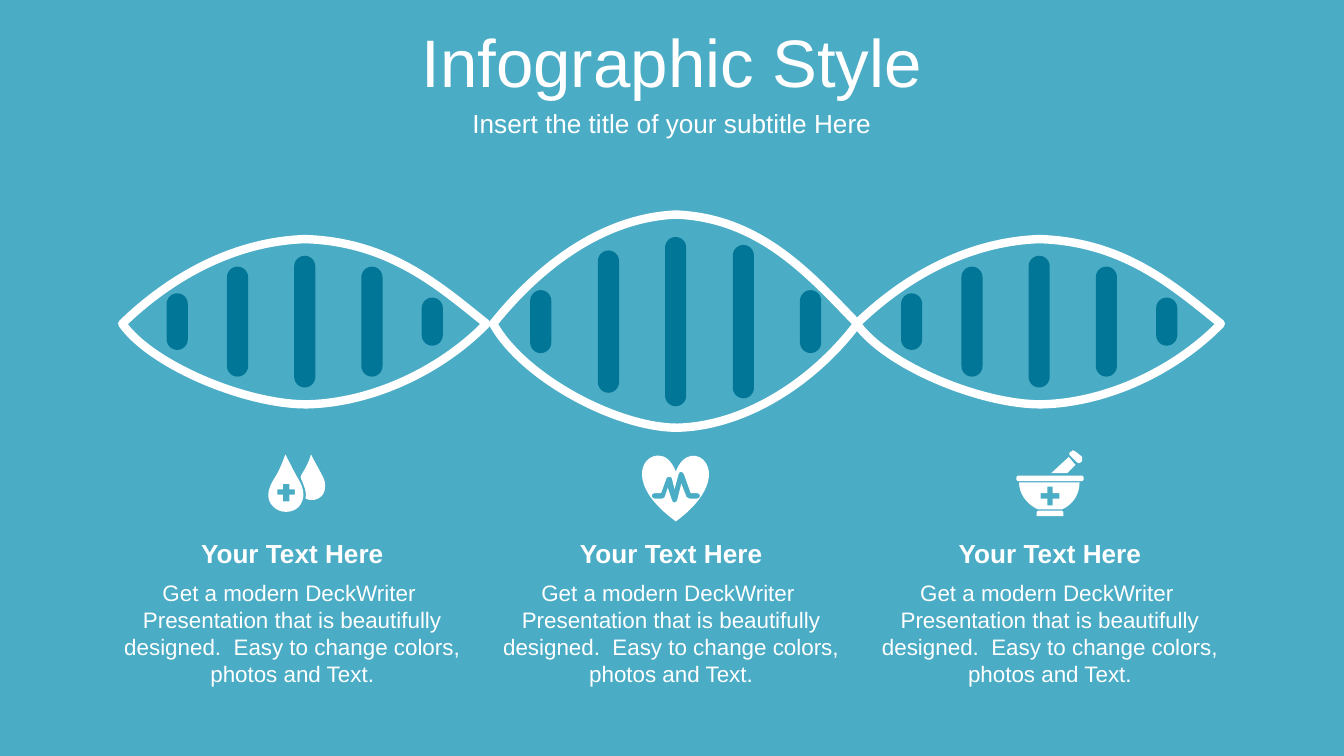
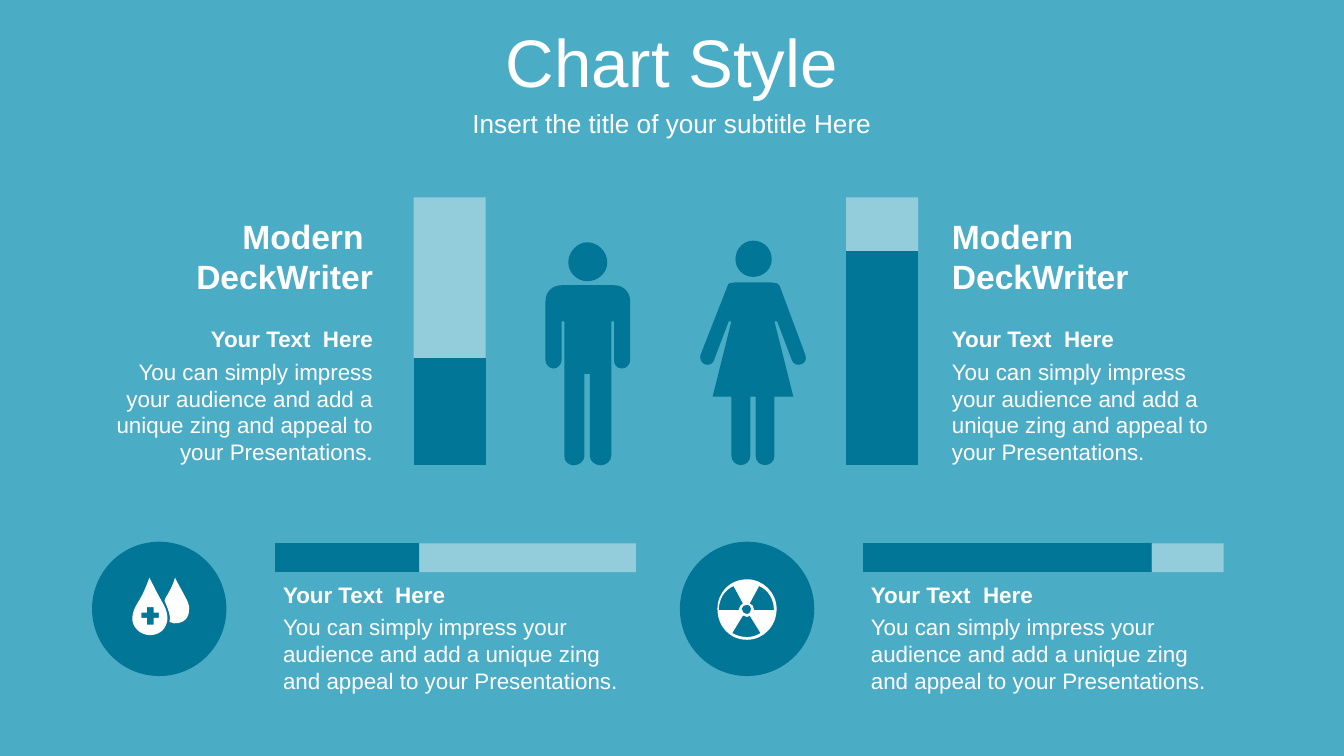
from lxml import etree
from pptx import Presentation
from pptx import util as u
from pptx.chart.data import CategoryChartData
from pptx.dml.color import RGBColor
from pptx.enum import chart as charts, shapes, text
from pptx.oxml.ns import qn

COLORS = {"back": "4BACC6", "dark": "027696", "white": "FFFFFF", "black": "000000"}
FONT = "Arial"
Cm = u.Cm
GRID = Cm(2.54) / 100  # one unit of the outlines below

# Outlines: M starts a contour, L lists corners, C lists cubic curves
LENS = "M 0,63 C 32,32 79,2 136,0 199,2 236,35 271,63 239,96 188,122 137,123 92,123 22,94 0,63"
DROPS = """
    M 19,22 L 14,22 14,26 10,26 10,30 14,30 14,35 19,35 19,30 23,30 23,26 19,26
    M 35,0 C 38,6 41,11 43,15 46,20 47,26 43,31 40,34 35,35 31,33 32,28 30,24 28,19
    27,18 27,16 28,15 31,10 33,7 35,0
    M 16,0 C 20,8 23,14 26,19 30,26 31,33 26,39 21,44 12,44 7,39 1,33 3,26 7,19
    11,13 13,8 16,0"""
HEART = """
    M 29,12 C 28,12 27,13 27,14 L 24,25 22,17 C 22,16 21,16 20,16 19,16 18,16 18,17
    L 14,28 9,28 C 8,28 7,29 7,30 7,31 8,32 9,32 L 15,32 C 16,32 17,31 17,30
    L 19,24 22,33 C 22,34 23,35 24,35 25,35 26,34 26,33 L 29,21 33,31
    C 34,32 34,32 35,32 L 41,32 C 42,32 43,31 43,30 43,29 42,28 41,28
    L 36,28 31,14 C 30,13 30,12 29,12
    M 12,0 C 17,0 22,4 25,12 27.5,4.8 31.9,1.1 36.3,0.3 40.6,-0.4 45,1.6 47.5,5.8
    50,9.9 50.6,16.1 47.5,23.5 44.4,31 37.5,39.8 25,49
    6.5,35.5 0,23.3 -0.2,14.4 -0.5,5.5 5.5,0 12,0"""
MORTAR = """
    M 16,45 L 34,45 35,46 35,49 15,49 15,46
    M 23,27 L 23,32 18,32 18,36 23,36 23,41 27,41 27,36 32,36 32,32 27,32 27,27
    M 2,24 L 47,24 C 47,32 43,39 36,43 L 34,44 16,44 14,43 C 7,39 2,32 2,24
    M 1,19 L 49,19 50,20 50,22 49,23 1,23 0,22 0,20
    M 39,5 L 44,11 38,17 26,17
    M 42,0 C 43,0 43,0 44,1 L 49,5 C 49,6 49,8 49,8 L 48,9 C 47,10 46,10 45,9
    L 40,4 C 39,4 39,2 40,1 L 41,1 C 41,0 42,0 42,0"""
RADIATION = """
    M 19,27 L 11,40 C 18,44 26,44 32,40 L 24,27 C 24,27 23,28 22,28 21,28 20,27 19,27
    M 22,19 C 20,19 18,20 18,22 18,24 20,26 22,26 24,26 25,24 25,22 25,20 24,19 22,19
    M 31,5 L 24,18 C 26,19 27,20 27,22 L 27,23 42,23 C 42,15 38,8 31,5
    M 12,5 C 5,8 1,15 1,23 L 16,23 16,22 C 16,20 18,19 19,18
    M 22,0 C 34,0 44,10 44,22 44,35 34,45 22,45 9,45 0,35 0,22 0,10 9,0 22,0"""
MAN = """
    M 12,32 L 51,32 C 58,32 63,37 63,44 L 63,88 C 63,91 60,94 57,94 53,94 51,91 51,88
    L 51,59 49,59 49,159 C 49,163 45,166 41,166 37,166 33,163 33,159 L 33,98 29,98 29,159
    C 29,163 25,166 21,166 17,166 14,163 14,159 L 14,59 12,59 12,88
    C 12,91 9,94 6,94 3,94 0,91 0,88 L 0,44 C 0,37 5,32 12,32
    M 31,0 C 39,0 46,7 46,15 46,23 39,29 31,29 24,29 17,23 17,15 17,7 24,0 31,0"""
WOMAN = """
    M 26,31 L 52,31 C 57,32 57,31 59,34 L 78,85 C 79,88 78,91 75,92 72,93 69,92 68,89
    L 57,60 55,60 69,116 55,116 55,160 C 55,164 52,167 48,167 44,167 41,164 41,160
    L 41,116 37,116 37,160 C 37,164 34,167 30,167 26,167 23,164 23,160
    L 23,116 9,116 23,60 21,60 10,89 C 9,92 6,93 3,92 1,91 -1,88 0,85
    L 20,34 C 21,31 21,32 26,31
    M 39,0 C 47,0 53,6 53,14 53,21 47,27 39,27 32,27 26,21 26,14 26,6 32,0 39,0"""

SUBTITLE = "Insert the title of your subtitle Here"
MODERN = "Modern  DeckWriter"
LABEL = "Your Text  Here"
IMPRESS = ("You can simply impress your audience and add a unique zing "
           "and appeal to your Presentations.")
FEATURE = ("Get a modern DeckWriter  Presentation that is beautifully designed.  "
           "Easy to change colors, photos and Text.")


def rgb(name):
    return RGBColor.from_string(COLORS[name])


def add_text(page, words, left, top, width, height, size=12, bold=False,
             align=text.PP_ALIGN.LEFT, anchor=text.MSO_ANCHOR.TOP):
    box = page.shapes.add_textbox(Cm(left), Cm(top), Cm(width), Cm(height))
    frame = box.text_frame
    frame.word_wrap = True
    frame.vertical_anchor = anchor
    para = frame.paragraphs[0]
    para.alignment = align
    span = para.add_run()
    span.text = words
    span.font.name = FONT
    span.font.size = u.Pt(size)
    span.font.bold = bold
    span.font.color.rgb = rgb("white")


def new_page(deck, title):
    page = deck.slides.add_slide(deck.slide_layouts[6])
    page.background.fill.solid()
    page.background.fill.fore_color.rgb = rgb("back")
    centred = {"align": text.PP_ALIGN.CENTER, "anchor": text.MSO_ANCHOR.MIDDLE}
    add_text(page, title, 0, 0.34, 25.4, 1.6, size=36, **centred)
    add_text(page, SUBTITLE, 0, 1.94, 25.4, 0.79, size=14, **centred)
    return page


def paint(shape, fill=None, line=None):
    """Fill or outline a shape, without shadow."""
    shape.shadow.inherit = False
    if fill:
        shape.fill.solid()
        shape.fill.fore_color.rgb = rgb(fill)
    else:
        shape.fill.background()
    if line:
        shape.line.color.rgb = rgb(line)
        shape.line.width = u.Pt(4.5)
    else:
        shape.line.fill.background()


def add_preset(page, kind, left, top, width, height):
    shape = page.shapes.add_shape(kind, Cm(left), Cm(top), Cm(width), Cm(height))
    paint(shape, fill="dark")
    return shape


def read_contour(contour, stretch):
    """Return the points and, after the start, the point count of each segment."""
    points, counts, needed, pending = [], [], 1, 0
    for word in contour.split():
        if word in "LC":
            needed = 3 if word == "C" else 1
            continue
        x, y = (float(number) for number in word.split(","))
        points.append((x * GRID, y * GRID * stretch))
        pending += 1
        if pending == needed:
            counts.append(needed)
            pending = 0
    return points, counts[1:]


def bend(shape, counts):
    """Join each three line ends that describe a curve into a cubic segment."""
    ends = iter(list(shape.element.iter(qn("a:lnTo"))))
    for count in counts:
        group = [next(ends) for _ in range(count)]
        if count == 3:
            cubic = etree.Element(qn("a:cubicBezTo"))
            group[0].addprevious(cubic)
            for end in group:
                cubic.append(end[0])
                end.getparent().remove(end)


def add_outline(page, outline, left, top, fill=None, line=None, stretch=1):
    builder, all_counts = None, []
    for contour in outline.split("M")[1:]:
        points, counts = read_contour(contour, stretch)
        if builder is None:
            builder = page.shapes.build_freeform(*points[0])
        else:
            builder.move_to(*points[0])
        builder.add_line_segments(points[1:], close=True)
        all_counts += counts
    shape = builder.convert_to_shape(Cm(left), Cm(top))
    bend(shape, all_counts)
    paint(shape, fill, line)


def add_helix_lens(page, left, offsets, heights, stretch=1):
    for offset, height in zip(offsets, heights):
        rung = add_preset(page, shapes.MSO_SHAPE.ROUNDED_RECTANGLE,
                          left + offset, 6.08 - height / 2, 0.4, height)
        rung.adjustments[0] = 0.5
    add_outline(page, LENS, left, 6.12 - 1.6 * stretch, line="white", stretch=stretch)


def add_share_chart(page, kind, place, shares, gap, inner):
    """Stacked 100% chart: a dark share and a pale rest per category."""
    data = CategoryChartData()
    data.categories = [str(number) for number in range(1, len(shares) + 1)]
    data.add_series("Series 1", shares)
    data.add_series("Series 2", [100 - share for share in shares])
    chart = page.shapes.add_chart(kind, *(Cm(length) for length in place), data).chart
    chart.has_legend = False
    chart.has_title = False
    chart.font.name = FONT
    chart.font.size = u.Pt(18)
    chart.font.color.rgb = rgb("black")
    for axis in (chart.category_axis, chart.value_axis):
        axis.has_major_gridlines = False
        axis.visible = False
    plot = chart.plots[0]
    plot.gap_width = gap
    plot.overlap = 100
    plot.vary_by_categories = False
    for series, color in zip(plot.series, ("dark", "white")):
        series.format.fill.solid()
        series.format.fill.fore_color.rgb = rgb(color)
    # Pale rest: 40% opaque white
    pale = next(plot.series[1]._element.iter(qn("a:srgbClr")))
    etree.SubElement(pale, qn("a:alpha")).set("val", "40000")
    # Fixed plot area, given in cm inside the chart
    area = next(chart.element.iter(qn("c:plotArea")))
    for old in area.findall(qn("c:layout")):
        area.remove(old)
    holder = etree.Element(qn("c:layout"))
    area.insert(0, holder)
    manual = etree.SubElement(holder, qn("c:manualLayout"))
    fractions = [length / whole for length, whole in zip(inner, place[2:] * 2)]
    settings = [("layoutTarget", "inner"), ("xMode", "edge"), ("yMode", "edge"),
                *zip("xywh", fractions)]
    for name, value in settings:
        etree.SubElement(manual, qn("c:" + name)).set("val", str(value))


def build_infographic(deck):
    page = new_page(deck, "Infographic Style")
    # Helix
    for left in (2.31, 16.19):
        add_helix_lens(page, left, (0.84, 1.98, 3.25, 4.52, 5.66), (1.07, 2.08, 2.49, 2.08, 0.91))
    add_helix_lens(page, 9.32, (0.7, 1.98, 3.25, 4.53, 5.8), (1.19, 2.69, 3.2, 2.9, 1.19),
                   stretch=1.29)
    # Three columns with icons
    icons = [(DROPS, 4.99, 8.59), (HEART, 12.14, 8.61), (MORTAR, 19.21, 8.51)]
    for column, (icon, icon_left, icon_top) in enumerate(icons):
        left = 1.93 + 7.16 * column
        add_outline(page, icon, icon_left, icon_top, fill="white")
        add_text(page, "Your Text Here", left, 10.04, 7.19, 0.86, size=14, bold=True,
                 align=text.PP_ALIGN.CENTER)
        add_text(page, FEATURE, left, 10.83, 7.19, 2.31, align=text.PP_ALIGN.CENTER)


def build_chart_page(deck):
    page = new_page(deck, "Chart Style")
    # Column chart with the two figures
    add_share_chart(page, charts.XL_CHART_TYPE.COLUMN_STACKED_100, (4.19, 3.35, 16.94, 5.84),
                    (40, 80), 500, (0.22, 0.38, 16.35, 5.06))
    add_outline(page, MAN, 10.31, 4.58, fill="dark")
    add_outline(page, WOMAN, 13.24, 4.55, fill="dark")
    # Texts beside the columns
    for left, align in ((1.74, text.PP_ALIGN.RIGHT), (17.74, text.PP_ALIGN.LEFT)):
        add_text(page, MODERN, left, 3.95, 5.56, 1.8, size=18, bold=True, align=align)
        add_text(page, LABEL, left, 6.03, 5.56, 0.76, bold=True, align=align)
        add_text(page, IMPRESS, left, 6.64, 5.56, 2.31, align=align)
    # Badges with progress bars
    badges = [(DROPS, 0.68, 10.92, 40), (RADIATION, 0.71, 10.95, 80)]
    for column, (icon, inset, icon_top, share) in enumerate(badges):
        left = 1.74 + 11.11 * column
        add_preset(page, shapes.MSO_SHAPE.OVAL, left, 10.24, 2.54, 2.54)
        add_outline(page, icon, left + inset, icon_top, fill="white")
        add_share_chart(page, charts.XL_CHART_TYPE.BAR_STACKED_100, (left + 3.36, 9.86, 7.01, 1.37),
                        (share,), 150, (0.1, 0, 6.82, 1.37))
        add_text(page, LABEL, left + 3.36, 10.86, 7.19, 0.76, bold=True)
        add_text(page, IMPRESS, left + 3.36, 11.47, 7.19, 1.8)


def main():
    deck = Presentation()
    deck.slide_width = Cm(25.4)
    deck.slide_height = Cm(14.29)
    build_infographic(deck)
    build_chart_page(deck)
    deck.save("out.pptx")


if __name__ == "__main__":
    main()
